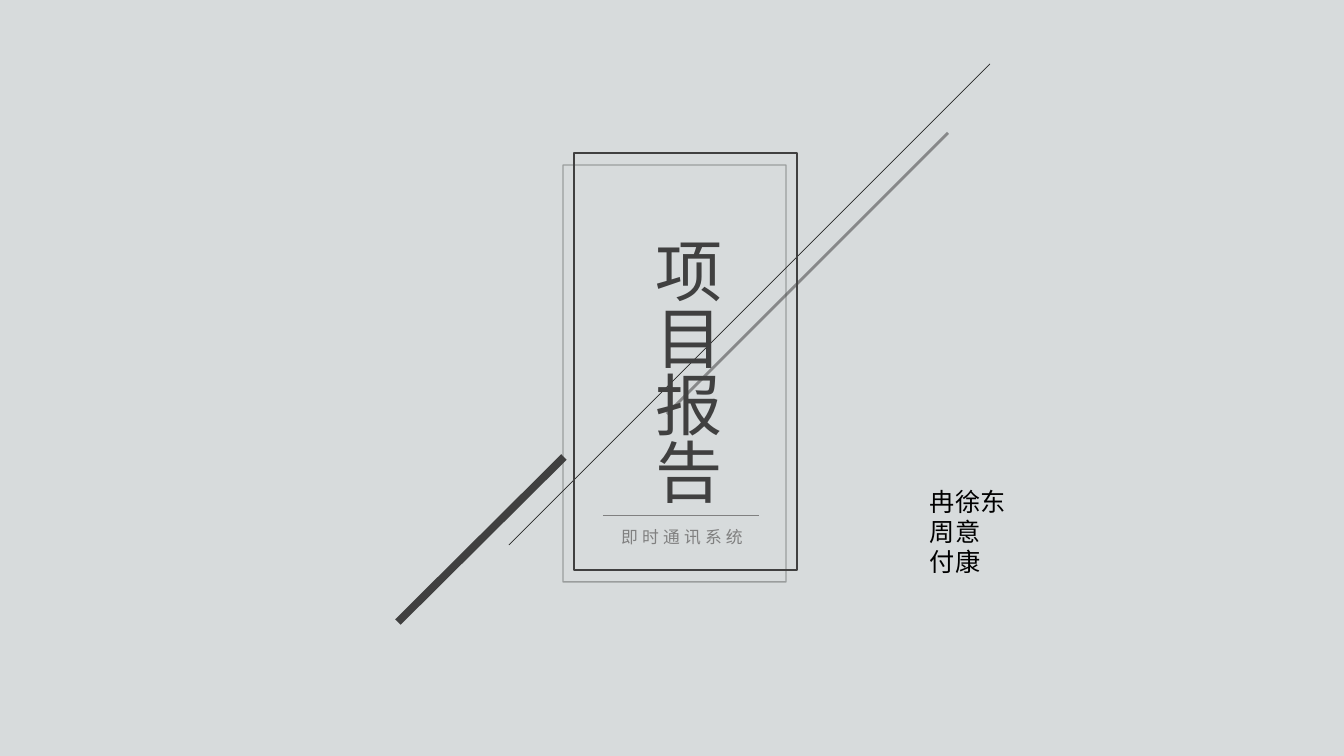
from lxml import etree
from pptx import Presentation
from pptx import util as u
from pptx.dml.color import RGBColor
from pptx.enum import shapes, text
from pptx.oxml import ns

SLIDE_W, SLIDE_H = 1344, 756
PX = 12192000 / SLIDE_W
MIST = RGBColor(0xD7, 0xDB, 0xDC)
CHARCOAL = RGBColor(0x40, 0x40, 0x40)
INK = RGBColor(0x26, 0x26, 0x26)
GREY = RGBColor(0x80, 0x80, 0x80)
BLACK = RGBColor(0, 0, 0)
HAN_FONT = "Noto Sans CJK SC"


def px(*lengths):
    return [u.Emu(round(length * PX)) for length in lengths]


def format_line(line, color, width, opacity):
    line.color.rgb = color
    line.width = u.Pt(width)
    if opacity < 100:
        color_xml = line._ln.find(".//" + ns.qn("a:srgbClr"))
        etree.SubElement(color_xml, ns.qn("a:alpha"), val=str(opacity * 1000))


def add_frame(slide, left, top, width, height, opacity=100):
    frame = slide.shapes.add_shape(
        shapes.MSO_SHAPE.RECTANGLE, *px(left, top, width, height))
    frame.shadow.inherit = False
    frame.fill.background()
    format_line(frame.line, CHARCOAL, 1, opacity)


def add_stroke(slide, start, end, color, width, opacity=100):
    stroke = slide.shapes.add_connector(
        shapes.MSO_CONNECTOR.STRAIGHT, *px(*start, *end))
    format_line(stroke.line, color, width, opacity)
    etree.SubElement(stroke._element.spPr, ns.qn("a:effectLst"))


def write_text(holder, lines, *, size, font, color,
               align=text.PP_ALIGN.LEFT, spacing=0, wrap=True, vertical=False):
    frame = holder.text_frame
    frame.text = "\n".join(lines)
    frame.word_wrap = wrap
    frame.auto_size = text.MSO_AUTO_SIZE.SHAPE_TO_FIT_TEXT
    frame.vertical_anchor = text.MSO_ANCHOR.TOP
    if vertical:
        frame._txBody.bodyPr.set("vert", "eaVert")
    for paragraph in frame.paragraphs:
        paragraph.alignment = align
        for run in paragraph.runs:
            run.font.size = u.Pt(size)
            run.font.name = font
            run.font.color.rgb = color
            if spacing:
                run.font._element.set("spc", str(spacing * 100))


def add_label(slide, left, top, width, height, lines, **style):
    label = slide.shapes.add_textbox(*px(left, top, width, height))
    write_text(label, lines, **style)


def place_title(slide, left, top, width, height, wording, **style):
    title = slide.shapes.title
    title.left, title.top, title.width, title.height = px(left, top, width, height)
    write_text(title, [wording], **style)
    slide.shapes._spTree.append(title._element)


def main():
    deck = Presentation()
    deck.slide_width, deck.slide_height = px(SLIDE_W, SLIDE_H)
    cover = deck.slides.add_slide(deck.slide_layouts[5])
    cover.background.fill.solid()
    cover.background.fill.fore_color.rgb = MIST

    add_frame(cover, 563, 165, 223, 417, opacity=40)
    add_stroke(cover, (509, 545), (990, 64), INK, 0.5)
    add_frame(cover, 574, 153, 223, 417)
    place_title(cover, 635, 232, 102, 282, "项目报告", size=48, font=HAN_FONT,
                color=CHARCOAL, align=text.PP_ALIGN.JUSTIFY, vertical=True)
    add_stroke(cover, (564, 457), (398, 622), CHARCOAL, 5.5)
    add_stroke(cover, (948, 133), (667, 414), CHARCOAL, 0, opacity=52)
    add_label(cover, 603, 522, 158, 30, ["即时通讯系统"], size=12,
              font="Arial Narrow", color=GREY, align=text.PP_ALIGN.CENTER, spacing=3)
    add_stroke(cover, (603, 515), (759, 515), GREY, 0.5)
    add_label(cover, 920, 481, 97, 102, ["冉徐东", "周意", "付康"], size=18,
              font="Calibri", color=BLACK, wrap=False)

    deck.save("out.pptx")


if __name__ == "__main__":
    main()
